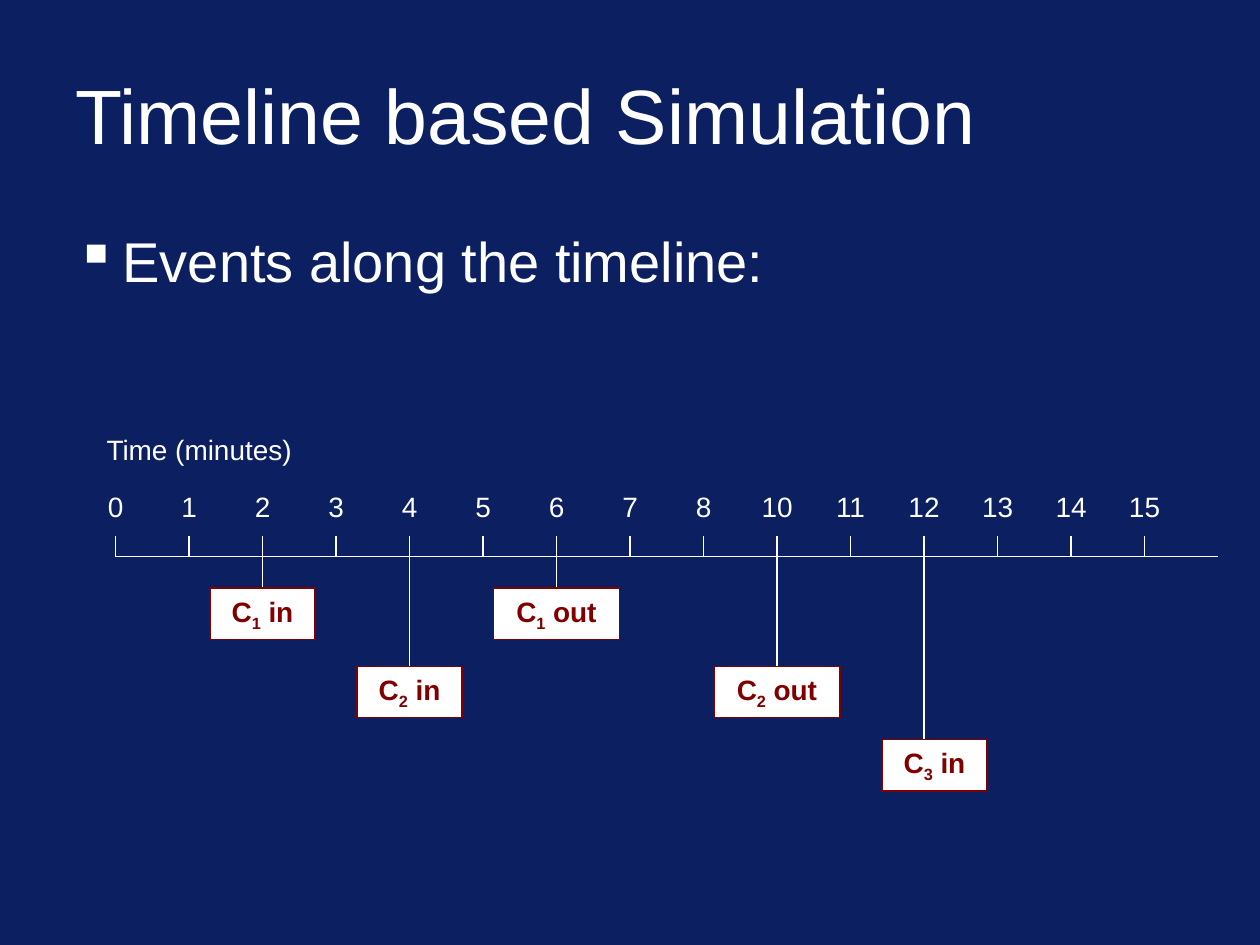
from lxml.etree import SubElement
from pptx import Presentation
from pptx.dml.color import RGBColor
from pptx.enum.shapes import MSO_CONNECTOR, MSO_SHAPE
from pptx.enum.text import MSO_ANCHOR, PP_ALIGN
from pptx.oxml.ns import qn
from pptx.util import Pt

COLORS = {"navy": "0B1F61", "white": "FFFFFF", "maroon": "800000"}
ORIGIN, STEP = 66, 42
TICK_TOP, AXIS_Y = 306, 318


def rgb(name):
    return RGBColor.from_string(COLORS[name])


def add_run(p, text, font="Arial", size=16, color="white", bold=False, baseline=0):
    r = p.add_run()
    r.text = text
    r.font.name = font
    r.font.size = Pt(size)
    r.font.bold = bold
    r.font.color.rgb = rgb(color)
    if baseline:
        r._r.get_or_add_rPr().set("baseline", str(baseline * 1000))


class Deck:
    def __init__(self, width, height, background):
        self.prs = Presentation()
        self.prs.slide_width, self.prs.slide_height = Pt(width), Pt(height)
        self.s = self.prs.slides.add_slide(self.prs.slide_layouts[6])
        self.s.background.fill.solid()
        self.s.background.fill.fore_color.rgb = rgb(background)
        self.line_color, self.line_width = "white", 0.75
        self.box_fill, self.box_color = "white", "maroon"

    def text(self, x, y, w, h, text, align=PP_ALIGN.LEFT, anchor=MSO_ANCHOR.TOP,
             wrap=True, **fmt):
        tf = self.s.shapes.add_textbox(Pt(x), Pt(y), Pt(w), Pt(h)).text_frame
        tf.word_wrap = wrap
        tf.vertical_anchor = anchor
        p = tf.paragraphs[0]
        p.alignment = align
        add_run(p, text, **fmt)
        return p

    def bullet(self, x, y, w, h, text, indent=27, before=8, **fmt):
        p = self.text(x, y, w, h, text, **fmt)
        p.space_before = Pt(before)
        pPr = p._p.get_or_add_pPr()
        pPr.set("marL", str(Pt(indent)))
        pPr.set("indent", str(Pt(-indent)))
        clr = SubElement(pPr, qn("a:buClr"))
        SubElement(clr, qn("a:srgbClr"), val=COLORS["white"])
        SubElement(pPr, qn("a:buChar"), char="▪")

    def line(self, x1, y1, x2, y2):
        c = self.s.shapes.add_connector(MSO_CONNECTOR.STRAIGHT, Pt(x1), Pt(y1), Pt(x2), Pt(y2))
        c.line.color.rgb = rgb(self.line_color)
        c.line.width = Pt(self.line_width)
        SubElement(c._element.spPr, qn("a:effectLst"))

    def event(self, x, y, w, h, customer, action):
        sp = self.s.shapes.add_shape(MSO_SHAPE.RECTANGLE, Pt(x), Pt(y), Pt(w), Pt(h))
        sp.shadow.inherit = False
        sp.fill.solid()
        sp.fill.fore_color.rgb = rgb(self.box_fill)
        sp.line.color.rgb = rgb(self.box_color)
        sp.line.width = Pt(self.line_width)
        tf = sp.text_frame
        tf.word_wrap = True
        tf.vertical_anchor = MSO_ANCHOR.TOP
        p = tf.paragraphs[0]
        p.alignment = PP_ALIGN.CENTER
        for text, baseline in (("C", 0), (customer, -25), (f" {action}", 0)):
            add_run(p, text, color=self.box_color, bold=True, baseline=baseline)


def main():
    deck = Deck(720, 540, "navy")
    deck.text(36, 28.8, 648, 72, "Timeline based Simulation", anchor=MSO_ANCHOR.MIDDLE, size=44)
    deck.bullet(36, 126, 648, 66, "Events along the timeline:", size=32)
    deck.text(53.3, 243.5, 121, 26.6, "Time (minutes)", align=PP_ALIGN.CENTER, wrap=False)

    minutes = [*range(9), *range(10, 16)]
    tick_x = {minute: ORIGIN + STEP * i for i, minute in enumerate(minutes)}
    for minute, x in tick_x.items():
        deck.line(x, AXIS_Y, x + STEP, AXIS_Y)
        deck.line(x, TICK_TOP, x, AXIS_Y)
        w = 23 if minute < 10 else 35.4
        deck.text(x - w / 2, 276, w, 26.6, str(minute), align=PP_ALIGN.CENTER)

    row_top = {"1": 336, "2": 380.7, "3": 422.7}
    box_width = {"in": 60, "out": 72}
    events = [
        (2, "1", "in", 0),
        (4, "2", "in", 0),
        (6, "1", "out", 0),
        (10, "2", "out", 0),
        (12, "3", "in", 6),
    ]
    for minute, customer, action, shift in events:
        x, y, w = tick_x[minute], row_top[customer], box_width[action]
        deck.line(x, AXIS_Y, x, y)
        deck.event(x - w / 2 + shift, y, w, 29.4, customer, action)

    deck.prs.save("out.pptx")


if __name__ == "__main__":
    main()
